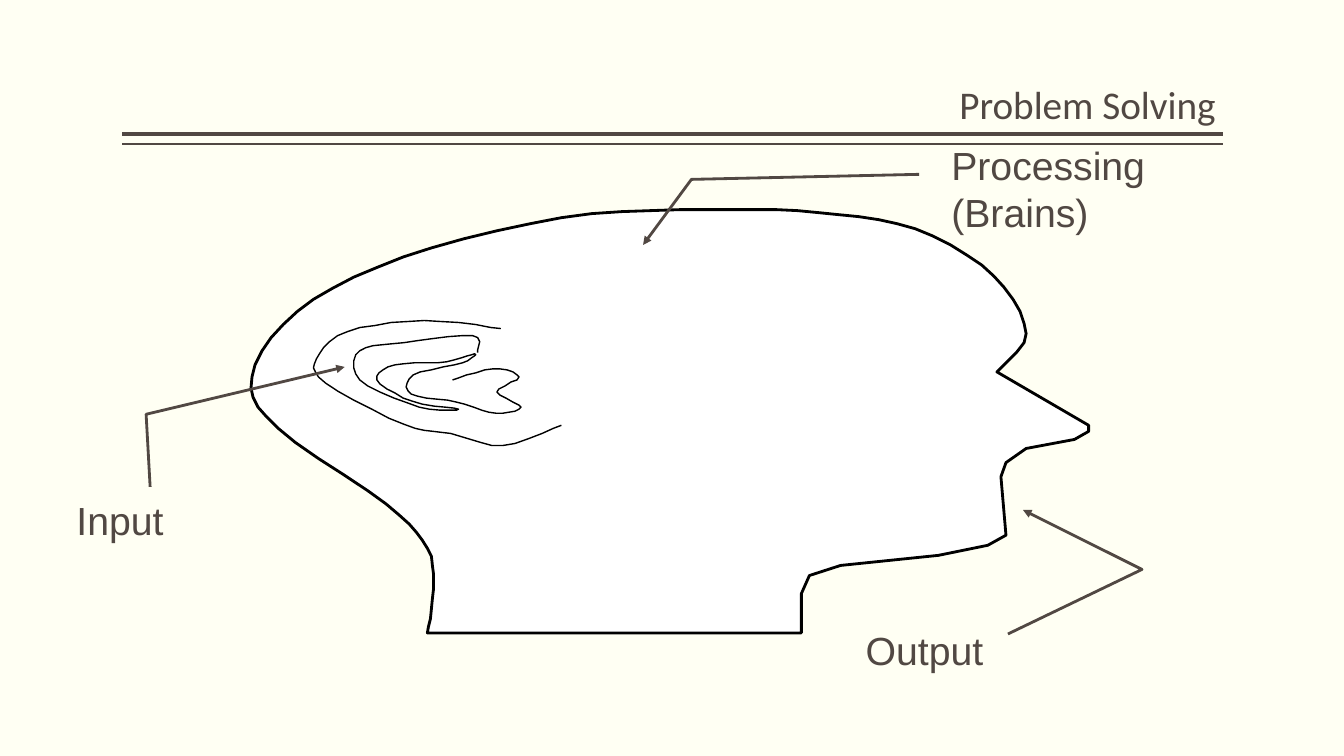
from pptx import Presentation
from pptx.dml.color import RGBColor
from pptx.enum import shapes, text
from pptx.oxml import ns
from pptx.util import Pt
from lxml import etree

PX = 9144  # EMU per px, 100 px to the inch
CREAM = RGBColor(0xFF, 0xFF, 0xF3)
BROWN = RGBColor(0x51, 0x48, 0x43)
BLACK = RGBColor(0, 0, 0)
WHITE = RGBColor(0xFF, 0xFF, 0xFF)

FACE = [
    (795, 628), (795, 589), (803, 571), (834, 561), (931, 551), (980, 541),
    (998, 531), (993, 473), (998, 459), (1018, 445), (1066, 436), (1080, 428),
    (1080, 422), (989, 369),
]
SKULL = [
    (989, 369), (1018, 331), (986, 274), (908, 227), (812, 211), (701, 208),
    (557, 216), (400, 255), (295, 309), (250, 374), (276, 425), (383, 500),
    (424, 544), (430, 585), (424, 628),
]
OUTER_EAR = [
    (497, 326), (421, 318), (345, 329), (314, 356), (323, 380), (401, 421),
    (447, 430), (499, 442), (557, 422),
]
INNER_EAR = [
    (449, 377), (489, 366), (515, 374), (493, 389), (517, 404), (492, 410),
    (453, 399), (408, 391), (410, 372), (459, 360), (471, 351), (443, 359),
    (392, 362), (374, 377), (409, 398), (455, 406), (416, 404), (357, 377),
    (357, 348), (401, 340), (469, 333), (474, 350),
]


def write(tf, words, font="Arial", align=text.PP_ALIGN.LEFT, spacing=1.0):
    tf.text = words
    for p in tf.paragraphs:
        p.alignment, p.line_spacing = align, spacing
        for r in p.runs:
            r.font.name, r.font.size = font, Pt(28)
            r.font.color.rgb = BROWN


def smooth(points, steps=5):
    """Return points along a Catmull-Rom curve through the given ones."""
    ends = [points[0], *points, points[-1]]
    curve = []
    for knots in zip(ends, ends[1:], ends[2:], ends[3:]):
        for t in (i / steps for i in range(steps)):
            curve.append(tuple(
                b + t * ((c - a) + t * ((2 * a - 5 * b + 4 * c - d)
                                        + t * (3 * b - a - 3 * c + d))) / 2
                for a, b, c, d in zip(*knots)))
    return curve + [points[-1]]


prs = Presentation()
prs.slide_width, prs.slide_height = 12192000, 750 * PX
s = prs.slides.add_slide(prs.slide_layouts[5])
s.background.fill.solid()
s.background.fill.fore_color.rgb = CREAM

# Double rule under the title
for y, width in [(133, 3), (143, 1)]:
    rule = s.shapes.add_connector(
        shapes.MSO_CONNECTOR.STRAIGHT, 1213 * PX, y * PX, 121 * PX, y * PX)
    rule.line.color.rgb, rule.line.width = BROWN, Pt(width)
    etree.SubElement(rule._element.spPr, ns.qn("a:effectLst"))

title = s.shapes.title
title.left, title.top, title.width, title.height = 67 * PX, 30 * PX, 1149 * PX, 102 * PX
title.text_frame.vertical_anchor = text.MSO_ANCHOR.BOTTOM
title.text_frame.auto_size = text.MSO_AUTO_SIZE.NONE
write(title.text_frame, "Problem Solving", font="Calibri",
      align=text.PP_ALIGN.RIGHT, spacing=0.9)

outlines = [
    (FACE + smooth(SKULL) + FACE[:1], BLACK, 2, False),
    (smooth(OUTER_EAR), BLACK, 1, False),
    (smooth(INNER_EAR), BLACK, 1, False),
]
labels = [
    ("Input", (66, 487, 109, 57), [(149, 483), (145, 411), (342, 364)]),
    ("Processing\n(Brains)", (934, 135, 213, 104), [(912, 173), (686, 178), (638, 243)]),
    ("Output", (849, 616, 145, 57), [(1000, 629), (1133, 565), (1015, 506)]),
]
for words, box, bend in labels:
    tf = s.shapes.add_textbox(*(v * PX for v in box)).text_frame
    tf.word_wrap = False
    tf.auto_size = text.MSO_AUTO_SIZE.SHAPE_TO_FIT_TEXT
    write(tf, words)
    outlines.append((bend, BROWN, 2, True))

# Head, ear and the bent arrows
for points, color, width, is_arrow in outlines:
    builder = s.shapes.build_freeform(*points[0], scale=PX)
    builder.add_line_segments(points[1:], close=points[0] == points[-1])
    sp = builder.convert_to_shape()
    sp.shadow.inherit = False
    sp.line.color.rgb, sp.line.width = color, Pt(width)
    if is_arrow:
        sp.fill.background()
        etree.SubElement(sp.line._get_or_add_ln(), ns.qn("a:tailEnd"), type="triangle")
    else:
        sp.fill.solid()
        sp.fill.fore_color.rgb = WHITE

prs.save("out.pptx")
